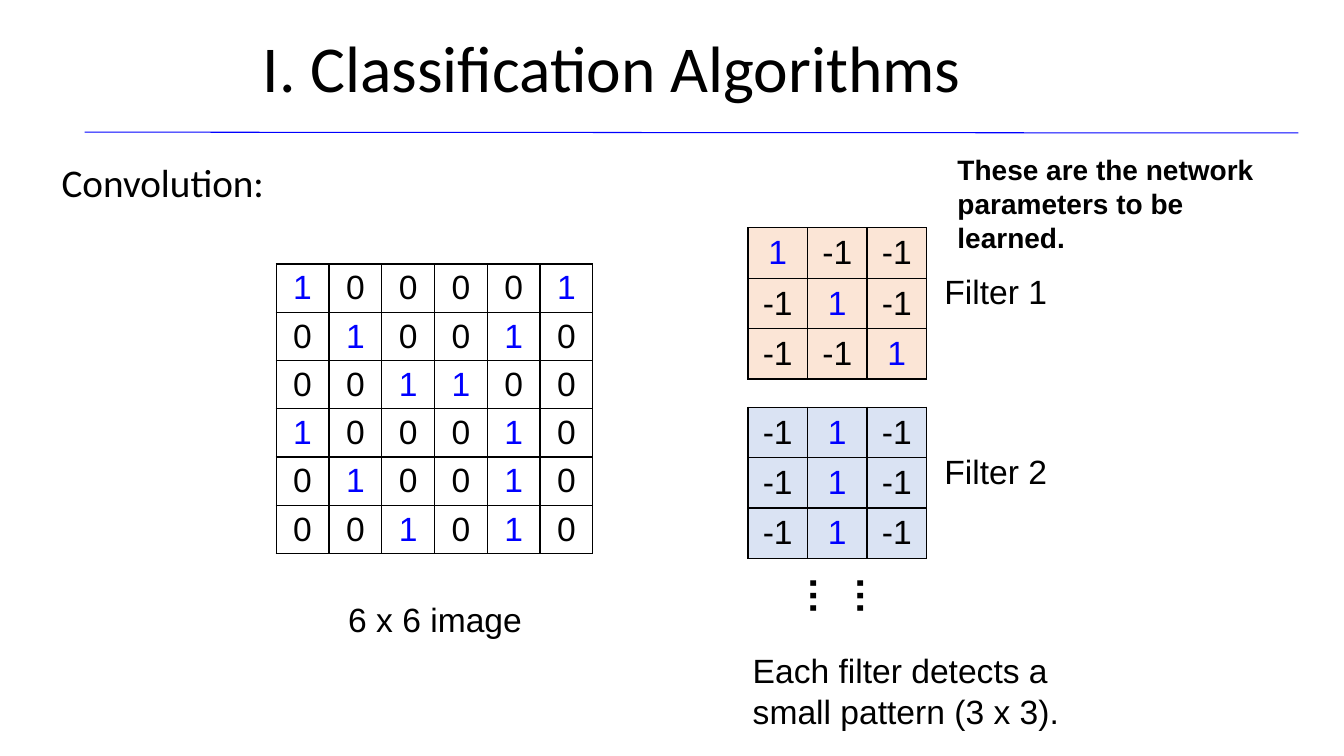
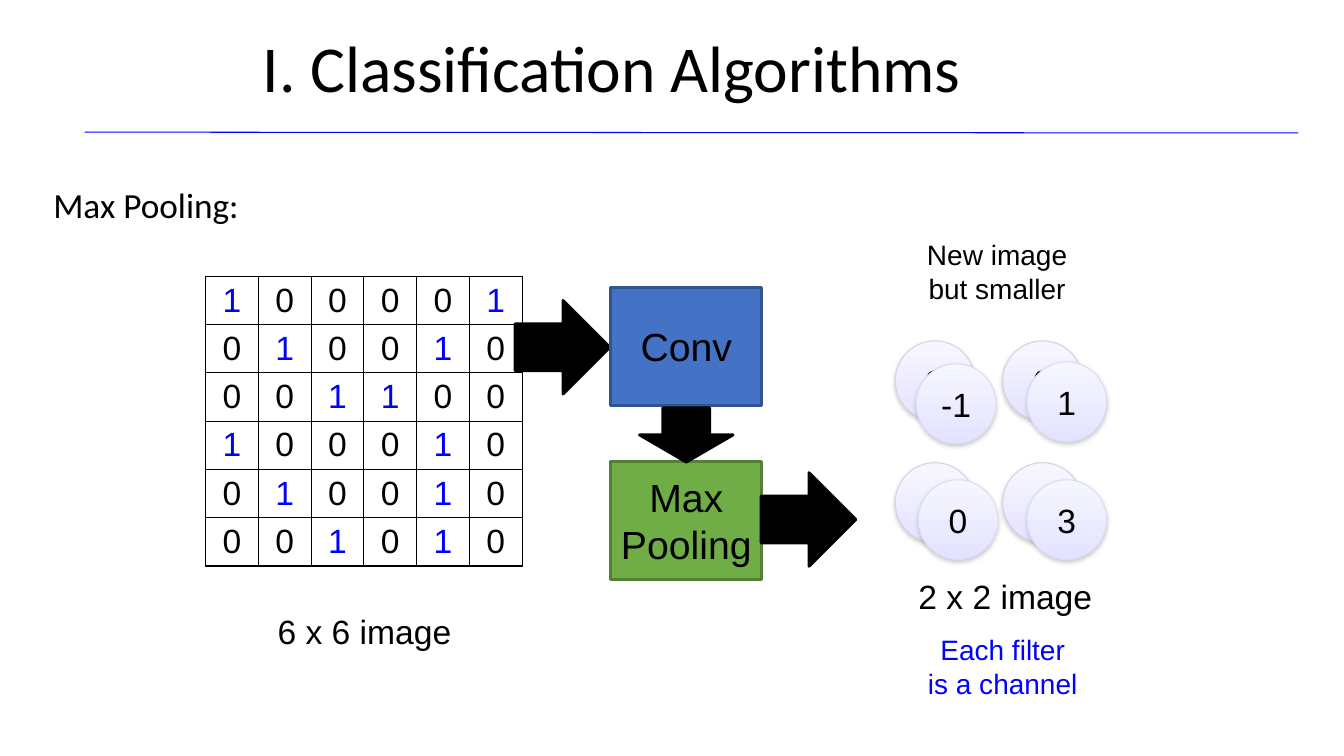
from lxml.etree import SubElement
from pptx import Presentation
from pptx.dml.color import RGBColor
from pptx.enum.shapes import MSO_CONNECTOR, MSO_SHAPE
from pptx.enum.text import MSO_ANCHOR, MSO_AUTO_SIZE, PP_ALIGN
from pptx.oxml.ns import qn
from pptx.util import Cm, Pt

# Colours
BLACK = RGBColor(0x00, 0x00, 0x00)
BLUE = RGBColor(0x00, 0x00, 0xFF)
PEACH = RGBColor(0xFB, 0xE5, 0xD6)
PALE_BLUE = RGBColor(0xDA, 0xE3, 0xF3)
CONV_FILL = RGBColor(0x44, 0x72, 0xC4)
CONV_LINE = RGBColor(0x32, 0x54, 0x91)
POOL_FILL = RGBColor(0x70, 0xAD, 0x47)
POOL_LINE = RGBColor(0x53, 0x80, 0x35)
# Circle colours: gradient start, gradient end, outline
BACK_CIRCLE = (RGBColor(0xF7, 0xF6, 0xFF), RGBColor(0xE5, 0xE3, 0xFF),
               RGBColor(0xD4, 0xD3, 0xE7))
FRONT_CIRCLE = (RGBColor(0xF6, 0xF6, 0xFF), RGBColor(0xE3, 0xE3, 0xFF),
                RGBColor(0xDC, 0xDC, 0xFA))

BODY_FONT = "Arial"
TITLE_FONT = "Calibri"
HEADING = "I. Classification Algorithms"

# Grid contents
IMAGE_PIXELS = ["100001", "010010", "001100", "100010", "010010", "001010"]
DIAGONAL_FILTER = [["1", "-1", "-1"], ["-1", "1", "-1"], ["-1", "-1", "1"]]
VERTICAL_FILTER = [["-1", "1", "-1"]] * 3


def in_cm(*lengths):
    return [Cm(length) for length in lengths]


def write(shape, lines, size, color=BLACK, font=BODY_FONT, bold=False,
          align=PP_ALIGN.CENTER, anchor=MSO_ANCHOR.TOP, spacing=None):
    """Fill a shape or cell with one paragraph per line."""
    frame = shape.text_frame
    frame.text = "\n".join(lines)
    frame.word_wrap = True
    frame.vertical_anchor = anchor
    for paragraph in frame.paragraphs:
        paragraph.alignment = align
        if spacing:
            paragraph.line_spacing = spacing
        paragraph.font.size = Pt(size)
        paragraph.font.name = font
        paragraph.font.bold = bold
        paragraph.font.color.rgb = color


def add_text(slide, box, lines, size=24, **style):
    shape = slide.shapes.add_textbox(*in_cm(*box))
    write(shape, lines, size, **style)
    return shape


def add_topic_slide(presentation, topic, box, size):
    """Slide with the shared heading and rule, and its topic as title."""
    slide = presentation.slides.add_slide(presentation.slide_layouts[5])
    title = slide.shapes.title
    title.left, title.top, title.width, title.height = in_cm(*box)
    write(title, [topic], size, font=TITLE_FONT, align=PP_ALIGN.LEFT,
          anchor=MSO_ANCHOR.MIDDLE, spacing=0.9)
    title.text_frame.auto_size = MSO_AUTO_SIZE.NONE

    add_text(slide, (2.72, 0.84, 25.4, 1.93), [HEADING], 46.8,
             font=TITLE_FONT, anchor=MSO_ANCHOR.BOTTOM, spacing=0.8)
    rule = slide.shapes.add_connector(MSO_CONNECTOR.STRAIGHT,
                                      *in_cm(2.13, 3.33, 32.72, 3.35))
    rule.line.color.rgb = BLUE
    rule.line.width = Pt(0.75)
    SubElement(rule._element.spPr, qn("a:effectLst"))
    return slide


def add_cell_borders(cell):
    properties = cell._tc.get_or_add_tcPr()
    for side in ("a:lnL", "a:lnR", "a:lnT", "a:lnB"):
        border = SubElement(properties, qn(side), w=str(Pt(1)))
        fill = SubElement(border, qn("a:solidFill"))
        SubElement(fill, qn("a:srgbClr"), val=str(BLACK))


def add_grid(slide, left, top, values, cell_width, cell_height, fill=None):
    """Bordered number table; ones are blue."""
    rows, columns = len(values), len(values[0])
    table = slide.shapes.add_table(
        rows, columns, *in_cm(left, top, columns * cell_width,
                              rows * cell_height)).table
    table.first_row = table.horz_banding = False
    for column in table.columns:
        column.width = Cm(cell_width)
    for row, row_values in zip(table.rows, values):
        row.height = Cm(cell_height)
        for cell, value in zip(row.cells, row_values):
            cell.margin_top = cell.margin_bottom = Cm(0.1)
            add_cell_borders(cell)
            if fill is None:
                cell.fill.background()
            else:
                cell.fill.solid()
                cell.fill.fore_color.rgb = fill
            write(cell, [value], 24, BLUE if value == "1" else BLACK)
            cell.vertical_anchor = MSO_ANCHOR.MIDDLE


def add_input_image(slide, left, top):
    add_grid(slide, left, top, IMAGE_PIXELS, 1.33, 1.2)
    add_text(slide, (left + 0.74, top + 8.31, 6.53, 1.3), ["6 x 6 image"])


def add_filter(slide, top, name, values, fill):
    left = 18.85
    add_grid(slide, left, top, values, 1.5, 1.27, fill)
    add_text(slide, (left + 4.24, top + 0.97, 4.01, 1.3), [name])


def add_filled_shape(slide, kind, box, fill, line):
    shape = slide.shapes.add_shape(kind, *in_cm(*box))
    shape.shadow.inherit = False
    shape.fill.solid()
    shape.fill.fore_color.rgb = fill
    shape.line.color.rgb = line
    shape.line.width = Pt(2)
    return shape


def add_step(slide, top, lines, fill, line):
    step = add_filled_shape(slide, MSO_SHAPE.RECTANGLE,
                            (15.39, top, 3.81, 2.97), fill, line)
    write(step, lines, 28, anchor=MSO_ANCHOR.MIDDLE)


def add_arrow(slide, box, rotation=0):
    arrow = add_filled_shape(slide, MSO_SHAPE.RIGHT_ARROW, box, BLACK, BLACK)
    arrow.rotation = rotation


def add_circle(slide, left, top, value, colors):
    """Shaded circle with a soft shadow below it."""
    start, end, outline = colors
    circle = slide.shapes.add_shape(MSO_SHAPE.OVAL,
                                    *in_cm(left, top, 2.01, 2.01))
    circle.fill.gradient()
    circle.fill.gradient_angle = 270
    for stop, color in zip(circle.fill.gradient_stops, (start, end)):
        stop.color.rgb = color
    circle.line.color.rgb = outline
    circle.line.width = Pt(0.75)
    effects = SubElement(circle._element.spPr, qn("a:effectLst"))
    shadow = SubElement(effects, qn("a:outerShdw"), blurRad=str(Pt(3.1)),
                        dist=str(Pt(1.6)), dir="5400000", rotWithShape="0")
    shade = SubElement(shadow, qn("a:srgbClr"), val="808080")
    SubElement(shade, qn("a:alpha"), val="38000")
    if value:
        write(circle, [value], 24, anchor=MSO_ANCHOR.MIDDLE)


def build_convolution(presentation):
    slide = add_topic_slide(presentation, "Convolution:",
                            (1.3, 4.19, 6.1, 0.91), 28)
    add_input_image(slide, 6.96, 6.65)
    add_filter(slide, 5.74, "Filter 1", DIAGONAL_FILTER, PEACH)
    add_filter(slide, 10.26, "Filter 2", VERTICAL_FILTER, PALE_BLUE)

    # Remarks on the filters
    more = add_text(slide, (20.42, 13.94, 1.96, 2.64), ["……"], 28,
                    bold=True, align=PP_ALIGN.LEFT)
    more.rotation = 90
    add_text(slide, (23.88, 3.73, 9.04, 1.96),
             ["These are the network parameters to be learned."], 20,
             bold=True, align=PP_ALIGN.LEFT)
    add_text(slide, (18.72, 16.26, 9.88, 2.31),
             ["Each filter detects a small pattern (3 x 3)."],
             align=PP_ALIGN.LEFT)


def build_max_pooling(presentation):
    slide = add_topic_slide(presentation, "Max Pooling:",
                            (1.09, 4.57, 6.25, 1.3), 25.2)
    add_input_image(slide, 5.18, 6.96)

    # Two channels of the pooled image, one behind the other
    for left, top, value in ((22.56, 8.59, "3"), (25.27, 8.59, "0"),
                             (25.27, 11.66, ""), (22.56, 11.66, "")):
        add_circle(slide, left, top, value, BACK_CIRCLE)
    for left, top, value in ((23.09, 9.17, "-1"), (25.88, 9.12, "1"),
                             (25.88, 12.09, "3"), (23.14, 12.09, "0")):
        add_circle(slide, left, top, value, FRONT_CIRCLE)
    add_text(slide, (21.97, 5.87, 6.32, 1.96),
             ["New image", "but smaller"], 20)
    add_text(slide, (22.07, 14.4, 6.53, 1.3), ["2 x 2 image"])
    add_text(slide, (22.12, 15.82, 6.3, 1.96),
             ["Each filter", "is a channel"], 20, color=BLUE)

    # Processing steps
    add_arrow(slide, (12.98, 7.57, 2.39, 2.36))
    add_step(slide, 7.24, ["Conv"], CONV_FILL, CONV_LINE)
    add_step(slide, 11.63, ["Max", "Pooling"], POOL_FILL, POOL_LINE)
    add_arrow(slide, (19.18, 11.91, 2.39, 2.36))
    add_arrow(slide, (16.61, 9.78, 1.37, 2.36), rotation=90)


def main():
    presentation = Presentation()
    presentation.slide_width = Cm(33.87)
    presentation.slide_height = Cm(19.05)
    build_convolution(presentation)
    build_max_pooling(presentation)
    presentation.save("out.pptx")


if __name__ == "__main__":
    main()
